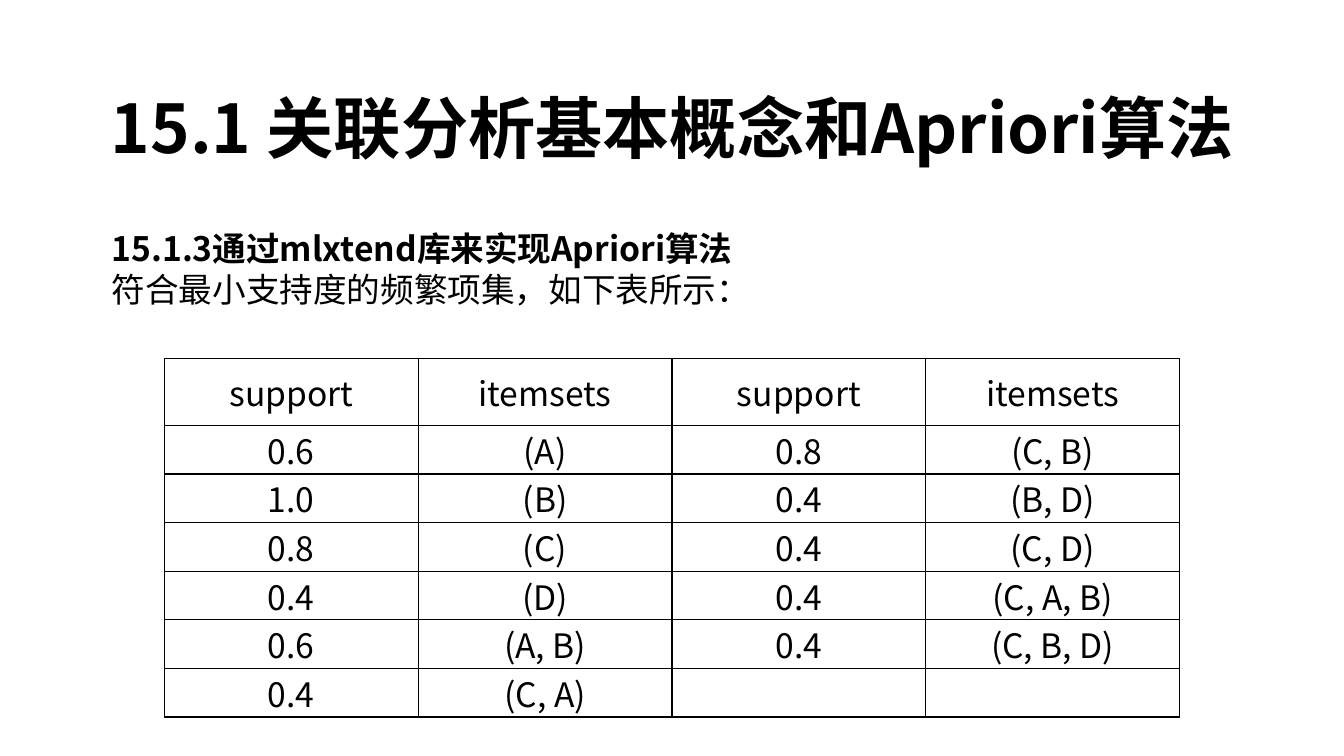
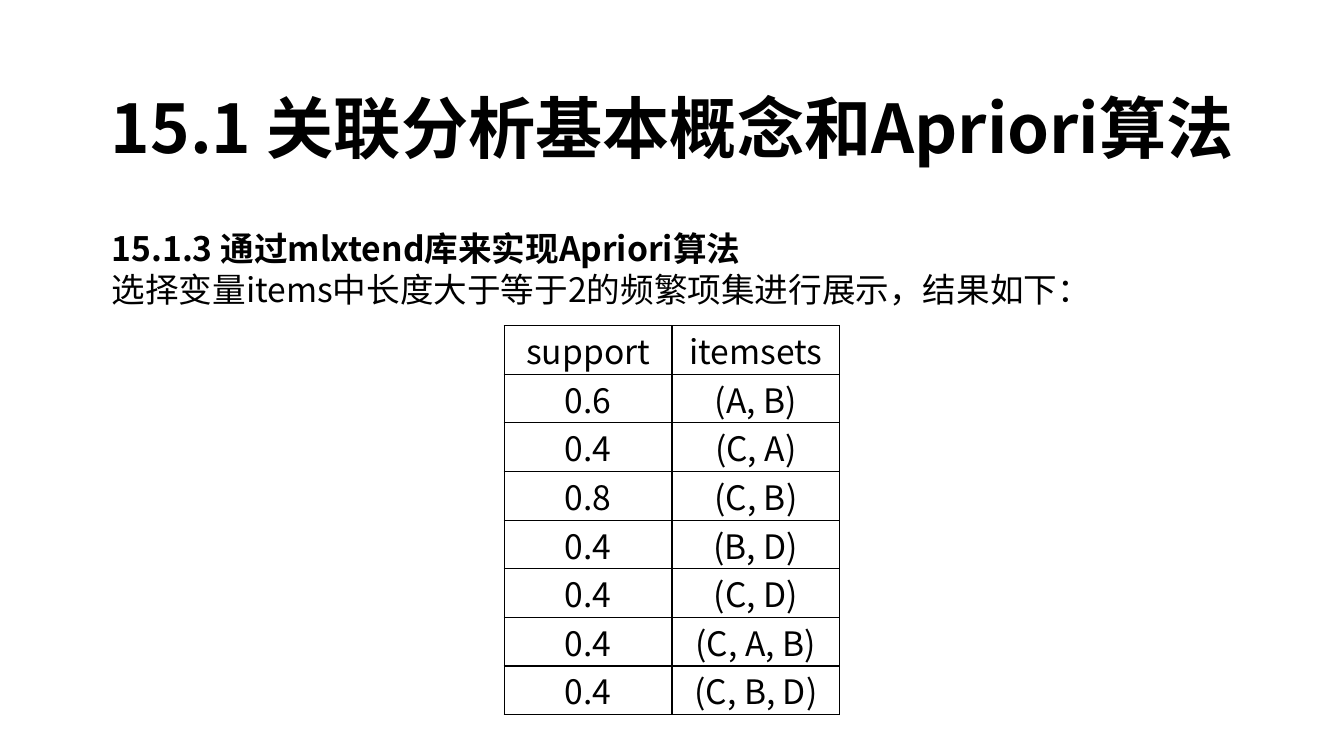
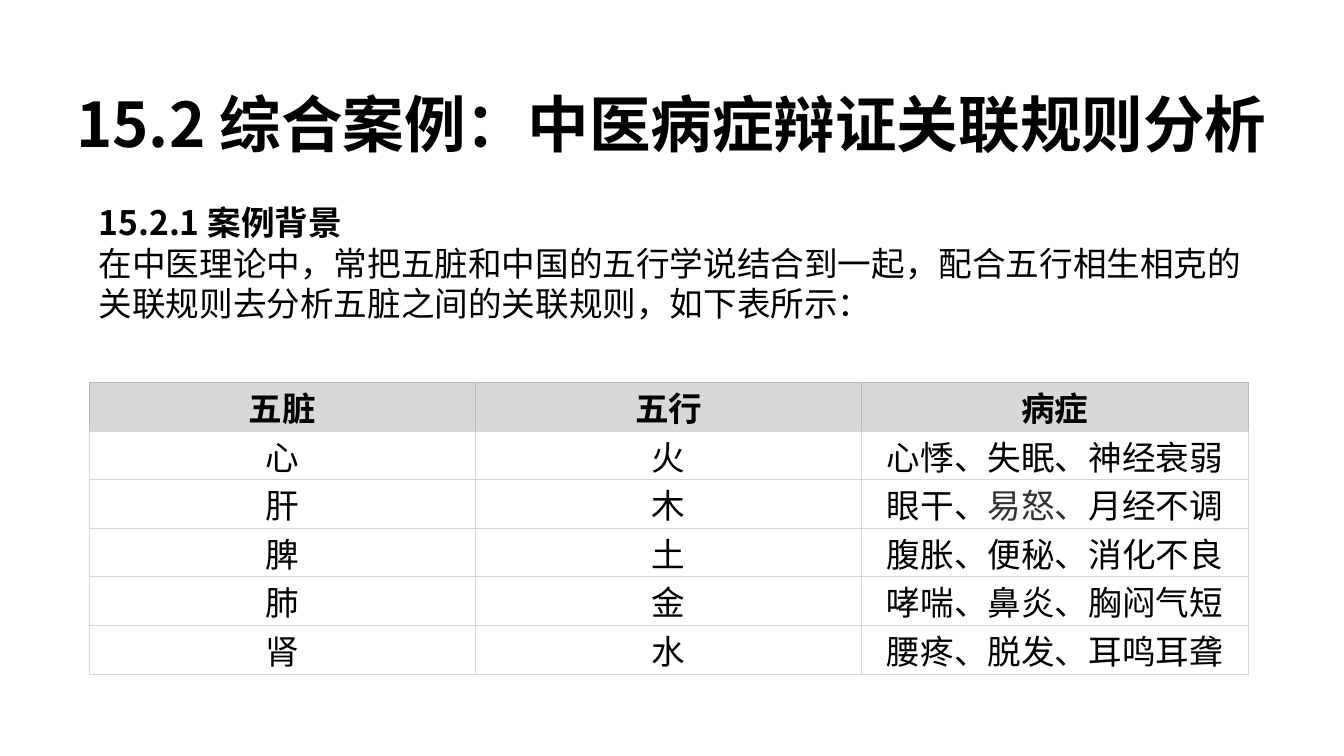
from lxml.etree import SubElement
from pptx import Presentation
from pptx.dml.color import RGBColor
from pptx.enum.text import MSO_ANCHOR, MSO_AUTO_SIZE, PP_ALIGN
from pptx.oxml import parse_xml
from pptx.oxml.ns import nsdecls, qn
from pptx.util import Pt

FONT = "Noto Sans CJK SC"
BLACK = RGBColor(0x00, 0x00, 0x00)
WHITE = RGBColor(0xFF, 0xFF, 0xFF)
DARK_GREY = RGBColor(0x33, 0x33, 0x33)
HEADER_GREY = RGBColor(0xD7, 0xD8, 0xD9)
HEADER_LINE = RGBColor(0xB7, 0xB8, 0xB8)
BODY_LINE = RGBColor(0xD6, 0xD6, 0xD6)

BODY_SIZE = 24
LINE_RATIO = 1.21
ROW_HEIGHT = 34.75

APRIORI_TITLE = {"text": "15.1 关联分析基本概念和Apriori算法",
                 "size": 48, "box": (54, 57.6, 852.5, 65.5)}
SUPPORT_LOOK = {"header_fill": WHITE, "header_line": BLACK, "line": BLACK,
                "line_width": 1, "header_bold": False, "anchor": MSO_ANCHOR.MIDDLE}
ORGAN_LOOK = {"header_fill": HEADER_GREY, "header_line": HEADER_LINE, "line": BODY_LINE,
              "line_width": 0.75, "header_bold": True, "anchor": MSO_ANCHOR.TOP}

# A cell is a string, or a list of (text, colour) runs.
SLIDES = [
    {"title": APRIORI_TITLE,
     "heading": "15.1.3通过mlxtend库来实现Apriori算法",
     "body": "符合最小支持度的频繁项集，如下表所示：",
     "body_box": (72.7, 159.1, 833, 65.5),
     "table": {"at": (117.4, 256.3), "width": 725.2, "header_height": 47.5,
               "look": SUPPORT_LOOK,
               "rows": [("support", "itemsets", "support", "itemsets"),
                        ("0.6", "(A)", "0.8", "(C, B)"),
                        ("1.0", "(B)", "0.4", "(B, D)"),
                        ("0.8", "(C)", "0.4", "(C, D)"),
                        ("0.4", "(D)", "0.4", "(C, A, B)"),
                        ("0.6", "(A, B)", "0.4", "(C, B, D)"),
                        ("0.4", "(C, A)", "", "")]}},
    {"title": APRIORI_TITLE,
     "heading": "15.1.3 通过mlxtend库来实现Apriori算法",
     "body": "选择变量items中长度大于等于2的频繁项集进行展示，结果如下：",
     "body_box": (72.7, 159.1, 833, 65.5),
     "table": {"at": (360.2, 232.6), "width": 239.6, "header_height": ROW_HEIGHT,
               "look": SUPPORT_LOOK,
               "rows": [("support", "itemsets"),
                        ("0.6", "(A, B)"),
                        ("0.4", "(C, A)"),
                        ("0.8", "(C, B)"),
                        ("0.4", "(B, D)"),
                        ("0.4", "(C, D)"),
                        ("0.4", "(C, A, B)"),
                        ("0.4", "(C, B, D)")]}},
    {"title": {"text": "15.2 综合案例：中医病症辩证关联规则分析",
               "size": 44, "box": (38, 57.6, 884, 60.5)},
     "heading": "15.2.1 案例背景",
     "body": "在中医理论中，常把五脏和中国的五行学说结合到一起，配合五行相生相克的"
             "关联规则去分析五脏之间的关联规则，如下表所示：",
     "body_box": (63.4, 140.4, 833, 94.3),
     "table": {"at": (63.6, 273.2), "width": 828, "header_height": ROW_HEIGHT,
               "look": ORGAN_LOOK,
               "rows": [("五脏", "五行", "病症"),
                        ("心", "火", "心悸、失眠、神经衰弱"),
                        ("肝", "木", [("眼干、", BLACK), ("易怒、", DARK_GREY),
                                    ("月经不调", BLACK)]),
                        ("脾", "土", "腹胀、便秘、消化不良"),
                        ("肺", "金", "哮喘、鼻炎、胸闷气短"),
                        ("肾", "水", "腰疼、脱发、耳鸣耳聋")]}},
]


def add_run(paragraph, text, size, bold=False, color=BLACK):
    run = paragraph.add_run()
    run.text = text
    for name, value in {"size": Pt(size), "bold": bold, "name": FONT}.items():
        setattr(run.font, name, value)
    run.font.color.rgb = color
    SubElement(run.font._element, qn("a:ea")).set("typeface", FONT)


def add_text(slide, box, lines, size, alignment):
    """Add a text box; lines holds (text, bold) pairs, one for each paragraph."""
    frame = slide.shapes.add_textbox(*map(Pt, box)).text_frame
    frame.word_wrap = True
    frame.auto_size = MSO_AUTO_SIZE.SHAPE_TO_FIT_TEXT
    for index, (text, bold) in enumerate(lines):
        paragraph = frame.add_paragraph() if index else frame.paragraphs[0]
        paragraph.alignment = alignment
        paragraph.line_spacing = Pt(round(size * LINE_RATIO))
        add_run(paragraph, text, size, bold)


def set_borders(cell, colors, width):
    """Draw the four cell edges; colors maps L, R, T and B in that order."""
    properties = cell._tc.get_or_add_tcPr()
    for index, (side, color) in enumerate(colors.items()):
        properties.insert(index, parse_xml(
            f'<a:ln{side} {nsdecls("a")} w="{Pt(width)}"><a:solidFill>'
            f'<a:srgbClr val="{color}"/></a:solidFill></a:ln{side}>'))


def format_cell(cell, content, look, is_header, below_header):
    edge = look["header_line"] if is_header else look["line"]
    cell.fill.solid()
    cell.fill.fore_color.rgb = look["header_fill"] if is_header else WHITE
    set_borders(cell, {"L": edge, "R": edge, "T": edge, "B": look["line"]},
                look["line_width"])
    for side in ("left", "right", "top", "bottom"):
        setattr(cell, f"margin_{side}", 0)
    cell.vertical_anchor = look["anchor"]
    paragraph = cell.text_frame.paragraphs[0]
    paragraph.alignment = PP_ALIGN.CENTER
    runs = [(content, BLACK)] if isinstance(content, str) else content
    for text, color in runs:
        if text:
            add_run(paragraph, text, BODY_SIZE, is_header and look["header_bold"], color)


def add_grid(slide, at, width, header_height, look, rows):
    heights = [header_height] + [ROW_HEIGHT] * (len(rows) - 1)
    table = slide.shapes.add_table(len(rows), len(rows[0]), Pt(at[0]), Pt(at[1]),
                                   Pt(width), Pt(sum(heights))).table
    table.first_row = table.horz_banding = False
    for column in table.columns:
        column.width = Pt(width / len(rows[0]))
    for row_index, (contents, height) in enumerate(zip(rows, heights)):
        table.rows[row_index].height = Pt(height)
        for column_index, content in enumerate(contents):
            format_cell(table.cell(row_index, column_index), content, look,
                        row_index == 0, row_index == 1)


def main():
    presentation = Presentation()
    presentation.slide_width, presentation.slide_height = Pt(960), Pt(540)
    for content in SLIDES:
        slide = presentation.slides.add_slide(presentation.slide_layouts[6])
        title = content["title"]
        add_text(slide, title["box"], [(title["text"], True)], title["size"],
                 PP_ALIGN.CENTER)
        add_text(slide, content["body_box"],
                 [(content["heading"], True), (content["body"], False)],
                 BODY_SIZE, PP_ALIGN.LEFT)
        add_grid(slide, **content["table"])
    presentation.save("out.pptx")


if __name__ == "__main__":
    main()
